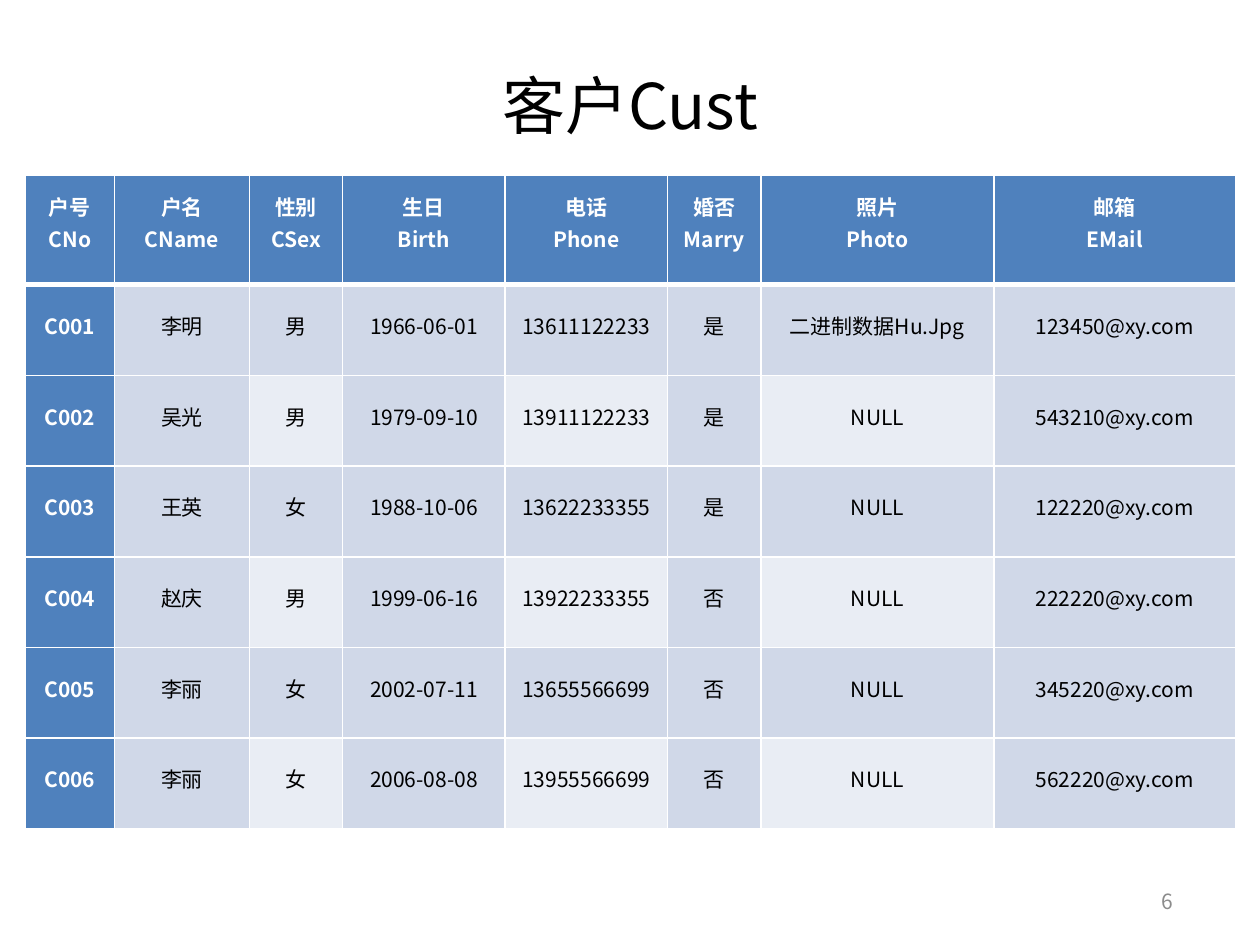
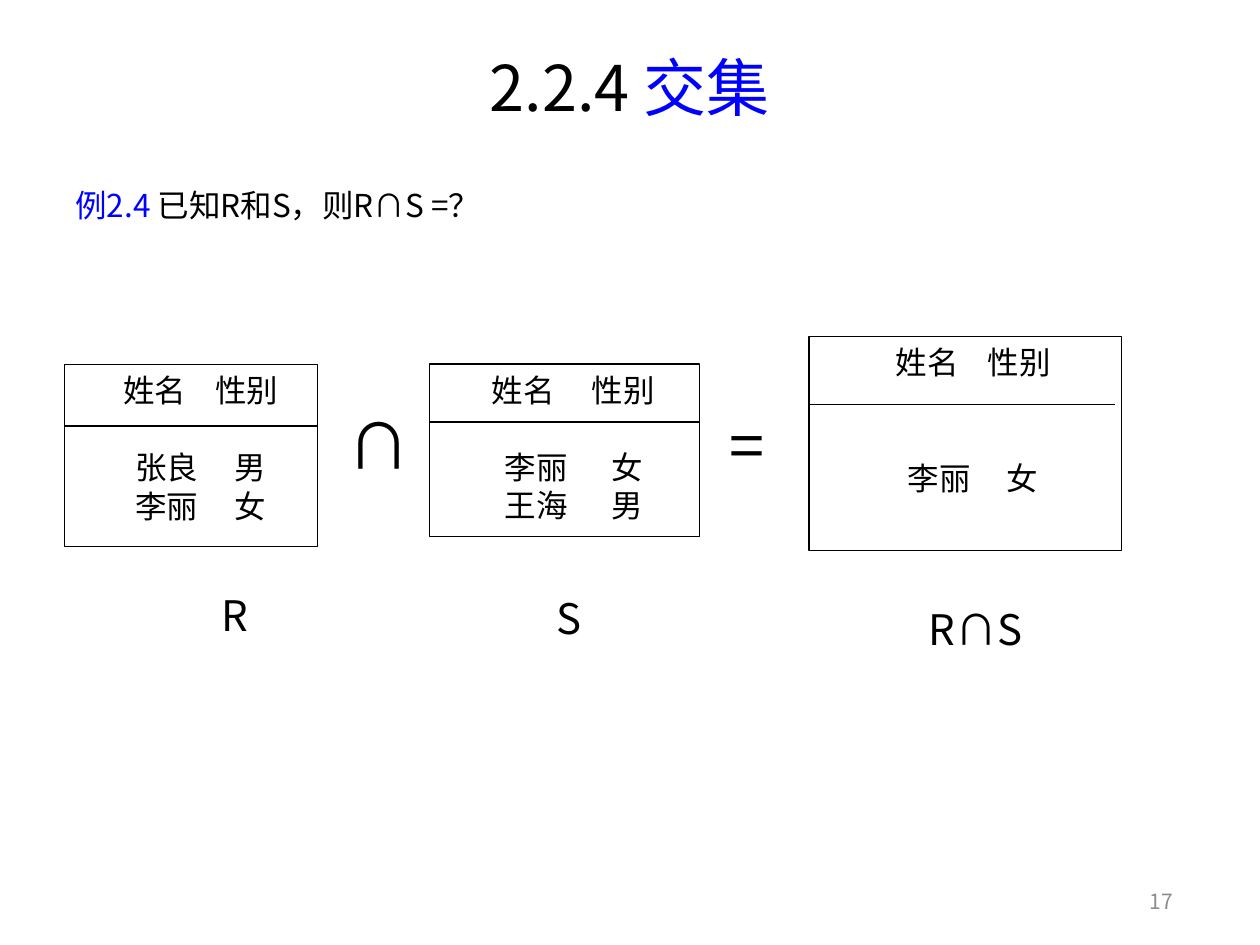
from dataclasses import dataclass
from itertools import product

from lxml import etree
from pptx import Presentation
from pptx.dml.color import RGBColor
from pptx.enum import shapes, text
from pptx.oxml.ns import qn
from pptx.util import Emu, Inches, Pt

COLUMNS, ROWS = 100, 75
WIDTH, HEIGHT = Inches(10), Inches(7.5)


@dataclass(frozen=True)
class Theme:
    font: str = "Noto Sans CJK SC"
    ink: str = "000000"
    paper: str = "FFFFFF"
    key: str = "0000FF"
    accent: str = "4F81BD"
    band: str = "D0D8E8"
    pale: str = "E9EDF4"
    muted: str = "8C8C8C"
    title: int = 36
    label: int = 24
    body: int = 18
    small: int = 12
    line: float = 0.75
    border: int = 1
    heavy: int = 3


@dataclass(frozen=True)
class Box:
    col: float
    row: float
    cols: float
    rows: float

    def emu(self) -> tuple[Emu, Emu, Emu, Emu]:
        return x(self.col), y(self.row), x(self.cols), y(self.rows)


@dataclass(frozen=True)
class Span:
    text: str
    color: str


@dataclass(frozen=True)
class Label:
    text: str
    box: Box
    size: int


@dataclass(frozen=True)
class Relation:
    box: Box
    rule_row: float
    rule_cols: float
    header_tabs: tuple[float, float]
    row_tabs: tuple[float, float]
    gap: int
    rows: tuple[str, ...]


T = Theme()
HEADER = ("户号 CNo", "户名 CName", "性别 CSex", "生日 Birth", "电话 Phone",
          "婚否 Marry", "照片 Photo", "邮箱 EMail")
CUSTOMERS = (
    ("C001", "李明", "男", "1966-06-01", "13611122233", "是", "二进制数据Hu.Jpg", "123450@xy.com"),
    ("C002", "吴光", "男", "1979-09-10", "13911122233", "是", "NULL", "543210@xy.com"),
    ("C003", "王英", "女", "1988-10-06", "13622233355", "是", "NULL", "122220@xy.com"),
    ("C004", "赵庆", "男", "1999-06-16", "13922233355", "否", "NULL", "222220@xy.com"),
    ("C005", "李丽", "女", "2002-07-11", "13655566699", "否", "NULL", "345220@xy.com"),
    ("C006", "李丽", "女", "2006-08-08", "13955566699", "否", "NULL", "562220@xy.com"),
)
CUSTOMER_COLS = (7.1, 10.7, 7.4, 12.9, 12.9, 7.4, 18.5, 19.2)
CUSTOMER_ROWS = (8.7,) + (7.2,) * len(CUSTOMERS)
RELATIONS = (
    Relation(Box(5.1, 28.9, 20.1, 14.5), 33.8, 20.1, (4.7, 12), (5.65, 13.5), 22,
             ("张良\t男", "李丽\t女")),
    Relation(Box(64.2, 26.7, 24.8, 17), 32.1, 24.3, (6.9, 14.2), (7.85, 15.7), 44,
             ("李丽\t女",)),
    Relation(Box(34.1, 28.9, 21.4, 13.7), 33.5, 21.4, (4.95, 12.85), (5.95, 14.4), 22,
             ("李丽\t女", "王海\t男")),
)
LABELS = (
    Label("=", Box(55.5, 31.8, 8.6, 6.9), T.title),
    Label("∩", Box(25.2, 31.8, 7.9, 6.9), T.title),
    Label("R", Box(15.2, 46.3, 7.2, 4.5), T.label),
    Label("S", Box(41.8, 46.5, 8.2, 5.9), T.label),
    Label("R∩S", Box(71.3, 47.4, 13.4, 5.1), T.label),
)


def x(cols: float) -> Emu:
    return Emu(round(WIDTH * cols / COLUMNS))


def y(rows: float) -> Emu:
    return Emu(round(HEIGHT * rows / ROWS))


def rgb(color: str) -> RGBColor:
    return RGBColor.from_string(color)


def style(p, size: int, color: str, bold: bool = False) -> None:
    for r in p.runs:
        r.font.name, r.font.size, r.font.bold = T.font, Pt(size), bold
        r.font.color.rgb = rgb(color)
        ea = etree.SubElement(r.font._element, qn("a:ea"))
        ea.set("typeface", T.font)


def add_text(slide, box: Box, spans: tuple[Span, ...], size: int,
             align=text.PP_ALIGN.LEFT, anchor=text.MSO_ANCHOR.TOP):
    tf = slide.shapes.add_textbox(*box.emu()).text_frame
    tf.word_wrap, tf.vertical_anchor = True, anchor
    p = tf.paragraphs[0]
    p.alignment = align
    for span in spans:
        r = p.add_run()
        r.text = span.text
    style(p, size, T.ink)
    for r, span in zip(p.runs, spans):
        r.font.color.rgb = rgb(span.color)
    return tf


def add_frame(prs, title: tuple[Span, ...], title_row: float, number: int):
    slide = prs.slides.add_slide(prs.slide_layouts[6])
    middle = text.MSO_ANCHOR.MIDDLE
    add_text(slide, Box(5, title_row, 90, 7.7), title, T.title, text.PP_ALIGN.CENTER, middle)
    add_text(slide, Box(71.7, 69.5, 22.4, 4), (Span(str(number), T.muted),), T.small,
             text.PP_ALIGN.RIGHT, middle)
    return slide


def set_borders(cell, widths: dict[str, int]) -> None:
    tc_pr = cell._tc.get_or_add_tcPr()
    for i, (side, width) in enumerate(widths.items()):
        ln = etree.Element(qn(f"a:ln{side}"), w=str(Pt(width)))
        fill = etree.SubElement(ln, qn("a:solidFill"))
        etree.SubElement(fill, qn("a:srgbClr"), val=T.paper)
        tc_pr.insert(i, ln)


def fill_cell(cell, row: int, col: int, value: str) -> None:
    head = row == 0
    strong = head or col == 0
    light = row % 2 == 0 and col % 2 == 0
    cell.margin_left = cell.margin_right = Inches(0.02)
    cell.margin_top = cell.margin_bottom = 0
    cell.vertical_anchor = text.MSO_ANCHOR.MIDDLE
    cell.fill.solid()
    cell.fill.fore_color.rgb = rgb(T.accent if strong else T.pale if light else T.band)
    set_borders(cell, {"L": T.border, "R": T.border,
                       "T": T.heavy if row == 1 else T.border,
                       "B": T.heavy if head else T.border})
    cell.text_frame.text = value.replace(" ", "\n") if head else value
    for i, p in enumerate(cell.text_frame.paragraphs):
        p.alignment = text.PP_ALIGN.CENTER
        p.line_spacing = Pt(9 if head else 12)
        if i:
            p.space_before = Pt(9)
        style(p, T.small, T.paper if strong else T.ink, strong)


def add_customers(slide) -> None:
    data = (HEADER,) + CUSTOMERS
    box = Box(2, 13.9, sum(CUSTOMER_COLS), sum(CUSTOMER_ROWS))
    table = slide.shapes.add_table(len(data), len(HEADER), *box.emu()).table
    table.first_row = table.horz_banding = False
    for column, cols in zip(table.columns, CUSTOMER_COLS):
        column.width = x(cols)
    for line, rows in zip(table.rows, CUSTOMER_ROWS):
        line.height = y(rows)
    for row, col in product(range(len(data)), range(len(HEADER))):
        fill_cell(table.cell(row, col), row, col, data[row][col])


def set_tabs(p, stops: tuple[float, float]) -> None:
    tabs = etree.SubElement(p._p.get_or_add_pPr(), qn("a:tabLst"))
    for stop in stops:
        etree.SubElement(tabs, qn("a:tab"), pos=str(x(stop)), algn="l")


def add_relation(slide, rel: Relation) -> None:
    sp = slide.shapes.add_shape(shapes.MSO_SHAPE.RECTANGLE, *rel.box.emu())
    sp.shadow.inherit = False
    sp.fill.solid()
    sp.fill.fore_color.rgb = rgb(T.paper)
    sp.line.color.rgb, sp.line.width = rgb(T.ink), Pt(T.line)
    tf = sp.text_frame
    tf.word_wrap, tf.vertical_anchor = True, text.MSO_ANCHOR.TOP
    tf.margin_left = tf.margin_right = 0
    tf.text = "\n".join("\t" + line for line in ("姓名\t性别",) + rel.rows)
    for i, p in enumerate(tf.paragraphs):
        p.alignment, p.line_spacing = text.PP_ALIGN.LEFT, Pt(22)
        if i == 1:
            p.space_before = Pt(rel.gap)
        set_tabs(p, rel.row_tabs if i else rel.header_tabs)
        style(p, T.body, T.ink)
    left, rule = x(rel.box.col), y(rel.rule_row)
    cx = slide.shapes.add_connector(shapes.MSO_CONNECTOR.STRAIGHT, left, rule,
                                    left + x(rel.rule_cols), rule)
    cx.line.color.rgb, cx.line.width = rgb(T.ink), Pt(T.line)
    etree.SubElement(cx._element.spPr, qn("a:effectLst"))


def add_intersection(slide) -> None:
    question = (Span("例2.4\u2002".replace("\u2002", " "), T.key),
                Span("已知R和S，则R∩S =？", T.ink))
    tf = add_text(slide, Box(5, 12.3, 90, 7.1), question, T.body)
    tf.paragraphs[0].line_spacing = Pt(36)
    for label in LABELS:
        tf = add_text(slide, label.box, (Span(label.text, T.ink),), label.size)
        tf.margin_left = x(2.4)
    for rel in RELATIONS:
        add_relation(slide, rel)


def main() -> None:
    prs = Presentation()
    prs.slide_width, prs.slide_height = WIDTH, HEIGHT
    add_customers(add_frame(prs, (Span("客户Cust", T.ink),), 4.4, 6))
    add_intersection(add_frame(prs, (Span("2.2.4 ", T.ink), Span("交集", T.key)), 3, 17))
    prs.save("out.pptx")


if __name__ == "__main__":
    main()
